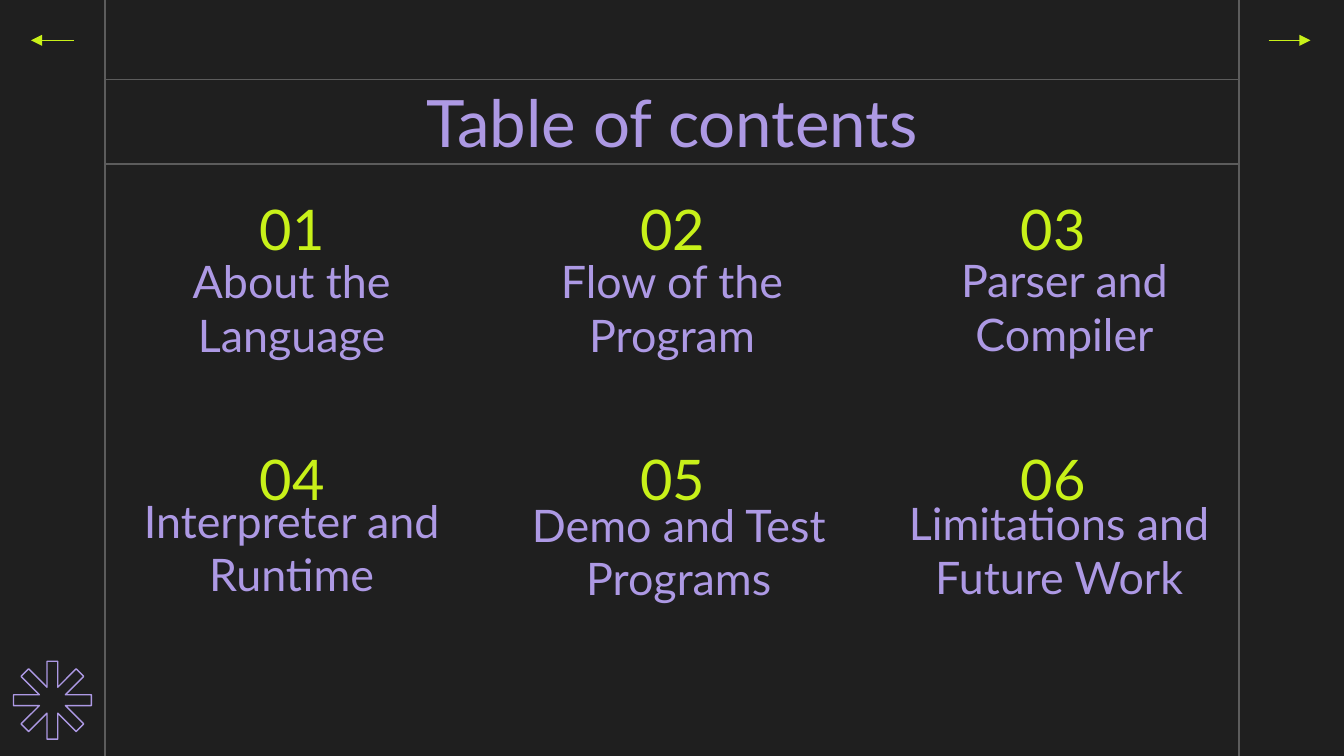
from math import cos, pi, sin

from pptx import Presentation
from pptx.dml.color import RGBColor
from pptx.enum.shapes import MSO_CONNECTOR, MSO_SHAPE
from pptx.enum.text import MSO_ANCHOR, PP_ALIGN
from pptx.oxml.ns import qn
from pptx.util import Inches, Pt
from lxml import etree

STRAIGHT = MSO_CONNECTOR.STRAIGHT
RECTANGLE = MSO_SHAPE.RECTANGLE
TOP, MIDDLE, BOTTOM = MSO_ANCHOR.TOP, MSO_ANCHOR.MIDDLE, MSO_ANCHOR.BOTTOM
CENTER = PP_ALIGN.CENTER

# Content: label text, then its box (left, top, width, height) and anchor
TITLE = "Table of contents"
SECTIONS = [
    ("About the Language", (0.78, 2.01, 2.78, 0.78), BOTTOM),
    ("Flow of the Program", (3.61, 2.01, 2.78, 0.78), BOTTOM),
    ("Parser and Compiler", (6.53, 1.78, 2.78, 0.49), TOP),
    ("Interpreter and Runtime", (0.78, 4.08, 2.78, 0.49), BOTTOM),
    ("Demo and Test Programs", (3.66, 4.11, 2.78, 0.49), BOTTOM),
    ("Limitations and Future Work", (6.49, 4.1, 2.78, 0.49), BOTTOM),
]

THEME = {
    "font": "Lato",
    "background": RGBColor.from_string("1F1F1F"),
    "rule": RGBColor.from_string("5C5C5C"),
    "text": RGBColor.from_string("AD99E4"),
    "accent": RGBColor.from_string("C8F119"),
    "line": Pt(0.75),
    "title": Pt(35),
    "number": Pt(30),
    "label": Pt(24),
}

# Layout, on a 16:9 slide
WIDTH = 10
HEIGHT = WIDTH * 9 / 16
LEFT_RULE, RIGHT_RULE = 0.78, 9.22
COLUMNS = 3
NUMBER_LEFT, NUMBER_TOP = 1.68, 1.49
COLUMN_STEP, ROW_STEP = 2.83, 1.86
ARROW_TOP = 0.3


def set_text(shape, text, size, color, anchor):
    frame = shape.text_frame
    frame.word_wrap = True
    frame.vertical_anchor = anchor
    frame.margin_left = frame.margin_right = Inches(0.1)
    frame.margin_top = frame.margin_bottom = Inches(0.1)
    paragraph = frame.paragraphs[0]
    paragraph.text = text
    paragraph.alignment = CENTER
    paragraph.font.name = THEME["font"]
    paragraph.font.size = size
    paragraph.font.color.rgb = color


def add_text(slide, box, text, size, color, anchor):
    shape = slide.shapes.add_textbox(*map(Inches, box))
    set_text(shape, text, size, color, anchor)


def add_line(slide, start, end, color, arrow=False):
    line = slide.shapes.add_connector(STRAIGHT, *map(Inches, start + end))
    line.line.color.rgb = color
    line.line.width = THEME["line"]
    if arrow:
        outline = line._element.spPr.find(qn("a:ln"))
        etree.SubElement(outline, qn("a:tailEnd"), type="triangle")
    etree.SubElement(line._element.spPr, qn("a:effectLst"))


def add_asterisk(slide, center_x, center_y, radius, half_width, arms=8):
    step = 2 * pi / arms
    notch = half_width / sin(step / 2)
    points = []
    for arm in range(arms):
        angle = arm * step
        along_x, along_y = cos(angle), sin(angle)
        for side in (-half_width, half_width):
            points.append((center_x + radius * along_x - side * along_y,
                           center_y + radius * along_y + side * along_x))
        points.append((center_x + notch * cos(angle + step / 2),
                       center_y + notch * sin(angle + step / 2)))
    points = [(Inches(x), Inches(y)) for x, y in points]
    builder = slide.shapes.build_freeform(*points[0])
    builder.add_line_segments(points[1:], close=True)
    shape = builder.convert_to_shape()
    shape.shadow.inherit = False
    shape.fill.solid()
    shape.fill.fore_color.rgb = THEME["background"]
    shape.line.color.rgb = THEME["text"]
    shape.line.width = THEME["line"]


presentation = Presentation()
presentation.slide_width, presentation.slide_height = Inches(WIDTH), Inches(HEIGHT)
slide = presentation.slides.add_slide(presentation.slide_layouts[6])
slide.background.fill.solid()
slide.background.fill.fore_color.rgb = THEME["background"]

# Side rules and ornament
for x in (LEFT_RULE, RIGHT_RULE):
    add_line(slide, (x, 0), (x, HEIGHT), THEME["rule"])
add_asterisk(slide, 0.39, 5.21, 0.29, 0.04)

# Title bar
title_box = (LEFT_RULE, 0.59, RIGHT_RULE - LEFT_RULE, 0.63)
title_bar = slide.shapes.add_shape(RECTANGLE, *map(Inches, title_box))
title_bar.shadow.inherit = False
title_bar.fill.background()
title_bar.line.color.rgb = THEME["rule"]
title_bar.line.width = THEME["line"]
set_text(title_bar, TITLE, THEME["title"], THEME["text"], MIDDLE)

# Numbered sections
for index, (label, label_box, anchor) in enumerate(SECTIONS):
    row, column = divmod(index, COLUMNS)
    number_box = (NUMBER_LEFT + column * COLUMN_STEP,
                  NUMBER_TOP + row * ROW_STEP, 0.99, 0.42)
    add_text(slide, number_box, f"{index + 1:02}", THEME["number"], THEME["accent"], MIDDLE)
    add_text(slide, label_box, label, THEME["label"], THEME["text"], anchor)

# Navigation arrows
for start_x, end_x in ((9.44, 9.75), (0.55, 0.23)):
    add_line(slide, (start_x, ARROW_TOP), (end_x, ARROW_TOP), THEME["accent"], arrow=True)

presentation.save("out.pptx")
